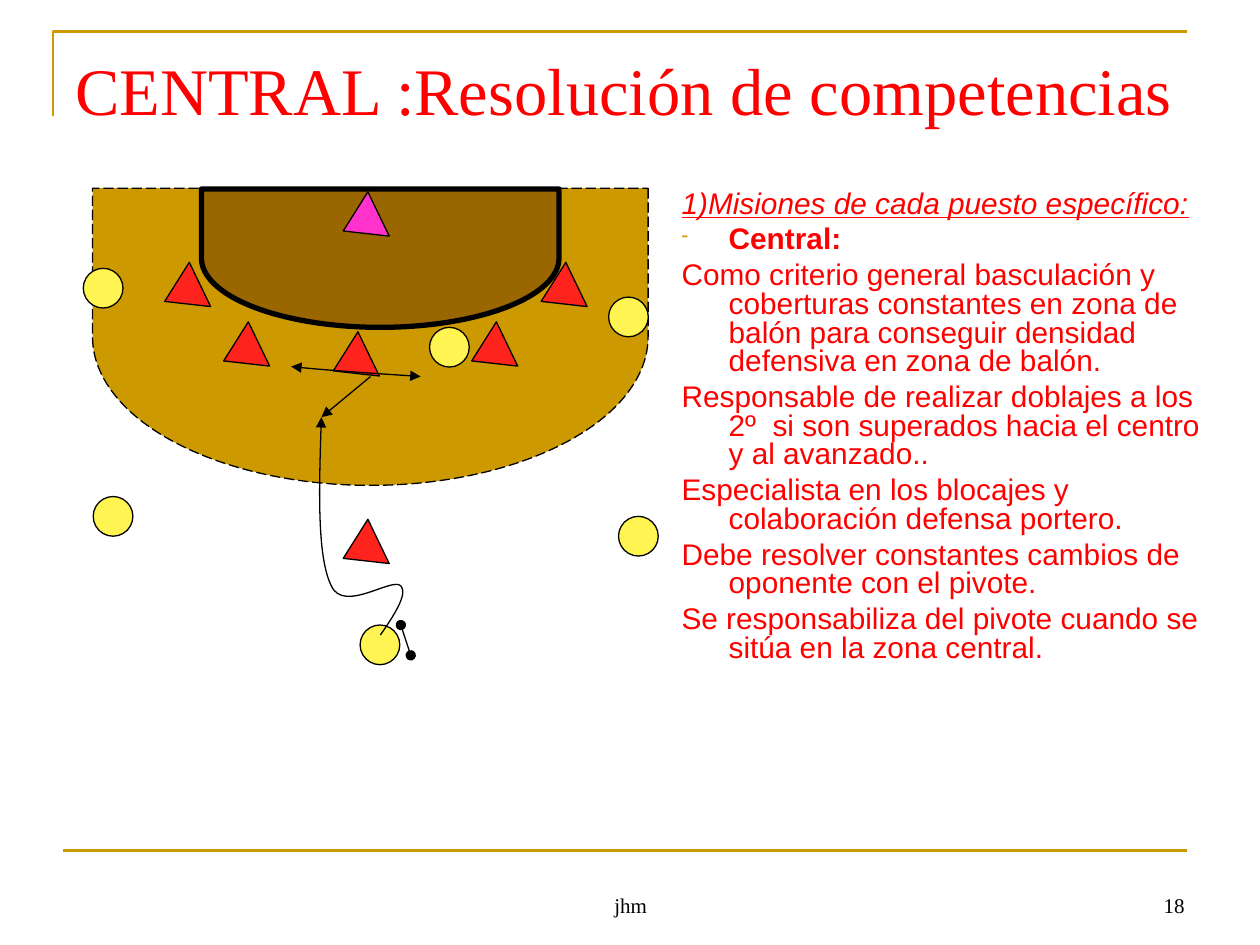
from lxml import etree
from pptx import Presentation
from pptx.dml.color import RGBColor
from pptx.enum.dml import MSO_LINE
from pptx.enum.shapes import MSO_CONNECTOR, MSO_SHAPE
from pptx.enum.text import MSO_ANCHOR, PP_ALIGN
from pptx.oxml.ns import qn
from pptx.util import Cm, Pt

DELAY, TRIANGLE, OVAL = MSO_SHAPE.FLOWCHART_DELAY, MSO_SHAPE.ISOSCELES_TRIANGLE, MSO_SHAPE.OVAL
STRAIGHT, LONG_DASH = MSO_CONNECTOR.STRAIGHT, MSO_LINE.LONG_DASH
LEFT, CENTER, RIGHT = PP_ALIGN.LEFT, PP_ALIGN.CENTER, PP_ALIGN.RIGHT
TOP, BOTTOM = MSO_ANCHOR.TOP, MSO_ANCHOR.BOTTOM
BLACK, RED, GOLD, BROWN = "000000", "FF0000", "CC9900", "996600"
PLAYER_RED, KEEPER_PINK, PLAYER_YELLOW = "FF231E", "FF33CC", "FFF452"
SERIF, SANS = "Times New Roman", "Arial"
THIN = 0.75

presentation = Presentation()
presentation.slide_width, presentation.slide_height = Cm(25.4), Cm(19.05)
slide = presentation.slides.add_slide(presentation.slide_layouts[6])
shapes = slide.shapes


def style_line(shape, color=BLACK, width=THIN, head=None, tail=None):
    shape.line.color.rgb = RGBColor.from_string(color)
    shape.line.width = Pt(width)
    properties = shape._element.spPr
    for tag, end in (("a:headEnd", head), ("a:tailEnd", tail)):
        if end:
            etree.SubElement(properties.find(qn("a:ln")), qn(tag), type=end)
    etree.SubElement(properties, qn("a:effectLst"))


def add_text(box, lines, anchor, alignment, **font_values):
    frame = shapes.add_textbox(*map(Cm, box)).text_frame
    frame.word_wrap = True
    frame.vertical_anchor = anchor
    for index, (text, extra) in enumerate(lines):
        paragraph = frame.paragraphs[0] if index == 0 else frame.add_paragraph()
        paragraph.alignment = alignment
        run = paragraph.add_run()
        run.text = text
        values = {**font_values, **extra}
        run.font.color.rgb = RGBColor.from_string(values.pop("color"))
        for name, value in values.items():
            setattr(run.font, name, value)
    return frame


# Frame corner and footer rule
builder = shapes.build_freeform(Cm(1.07), Cm(2.34))
builder.add_line_segments([(Cm(1.07), Cm(0.64)), (Cm(23.93), Cm(0.64))], close=False)
corner = builder.convert_to_shape()
corner.fill.background()
style_line(corner, GOLD, 1.5)
rule = shapes.add_connector(STRAIGHT, Cm(1.27), Cm(17.15), Cm(23.93), Cm(17.15))
style_line(rule, GOLD, 1.5)

# Title and footer
add_text((1.27, 0.76, 22.86, 1.96), [("CENTRAL :Resolución de competencias", {})],
         BOTTOM, LEFT, size=Pt(38), name=SERIF, color=RED)
for box, text, alignment in (
    ((8.69, 17.35, 8.05, 1.27), "jhm", CENTER),
    ((18.21, 17.35, 5.92, 1.27), "18", RIGHT),
):
    add_text(box, [(text, {})], BOTTOM, alignment, size=Pt(12), name=SERIF, color=BLACK)

# Missions of the position
missions = [
    ("1)Misiones de cada puesto específico:", {"italic": True, "underline": True}),
    ("Central:", {"bold": True}),
    ("Como criterio general basculación y coberturas constantes en zona de balón "
     "para conseguir densidad defensiva en zona de balón.", {}),
    ("Responsable de realizar doblajes a los 2º  si son superados hacia el centro "
     "y al avanzado..", {}),
    ("Especialista en los blocajes y colaboración defensa portero.", {}),
    ("Debe resolver constantes cambios de oponente con el pivote.", {}),
    ("Se responsabiliza del pivote cuando se sitúa en la zona central.", {}),
]
body = add_text((13.49, 3.73, 11.23, 11.48), missions, TOP, LEFT,
                size=Pt(17), name=SANS, color=RED)
for paragraph in body.paragraphs:
    paragraph.line_spacing = 0.8
    paragraph.space_before = Pt(4.2)
    properties = paragraph._p.get_or_add_pPr()
    properties.set("marL", str(Cm(0.95)))
    properties.set("indent", str(-Cm(0.95)))
    if paragraph.text == "Central:":
        bullet_color = etree.SubElement(properties, qn("a:buClr"))
        etree.SubElement(bullet_color, qn("a:srgbClr"), val=GOLD)
        etree.SubElement(properties, qn("a:buSzPct"), val="65000")
        etree.SubElement(properties, qn("a:buChar"), char="-")
    else:
        etree.SubElement(properties, qn("a:buNone"))

# Court areas and players: kind, box, rotation, fill, line width
pieces = [
    (DELAY, (4.47, 1.19, 5.99, 11.2), 90, GOLD, THIN),
    (DELAY, (6.27, 1.6, 2.79, 7.21), 90, BROWN, 3),
]
for left, top in ((1.68, 5.41), (1.88, 10.01), (8.66, 6.6),
                  (12.27, 5.99), (12.47, 10.41), (7.26, 12.6)):
    pieces.append((OVAL, (left, top, 0.8, 0.8), 0, PLAYER_YELLOW, THIN))
for left, top, fill in (
    (6.78, 4.09, KEEPER_PINK), (3.18, 5.51, PLAYER_RED), (4.37, 6.71, PLAYER_RED),
    (6.58, 6.91, PLAYER_RED), (6.78, 10.69, PLAYER_RED), (9.37, 6.71, PLAYER_RED),
    (10.77, 5.51, PLAYER_RED),
):
    pieces.append((TRIANGLE, (left, top, 0.99, 0.79), 244.3, fill, THIN))
for kind, box, rotation, fill, width in pieces:
    shape = shapes.add_shape(kind, *map(Cm, box))
    shape.rotation = rotation
    shape.fill.solid()
    shape.fill.fore_color.rgb = RGBColor.from_string(fill)
    if fill == GOLD:
        shape.line.dash_style = LONG_DASH
    style_line(shape, width=width)

# Curved movements: start point, then three Bezier points per curve
movements = [
    ([(8.48, 7.59), (7.39, 7.52), (6.3, 7.44), (5.87, 7.39)], "triangle"),
    ([(7.67, 12.8), (7.95, 12.4), (8.23, 11.96), (8.08, 11.81),
      (7.9, 11.63), (6.93, 12.37), (6.68, 11.81),
      (6.4, 11.25), (6.43, 9.83), (6.48, 8.41)], None),
]
for points, head in movements:
    start, *controls = [(Cm(x), Cm(y)) for x, y in points]
    builder = shapes.build_freeform(*start)
    builder.add_line_segments(controls, close=False)
    curve = builder.convert_to_shape()
    segments = list(curve._element.iter(qn("a:lnTo")))
    outline = segments[0].getparent()
    for first in range(0, len(segments), 3):
        bezier = etree.SubElement(outline, qn("a:cubicBezTo"))
        for segment in segments[first:first + 3]:
            bezier.append(segment[0])
            outline.remove(segment)
    curve.fill.background()
    style_line(curve, head=head, tail="triangle")

# Straight movements
for ends, head, tail in (
    ((8.08, 12.6, 8.28, 13.21), "oval", "oval"),
    ((7.47, 7.59, 6.48, 8.41), None, "triangle"),
):
    connector = shapes.add_connector(STRAIGHT, *map(Cm, ends))
    style_line(connector, head=head, tail=tail)

presentation.save("out.pptx")
